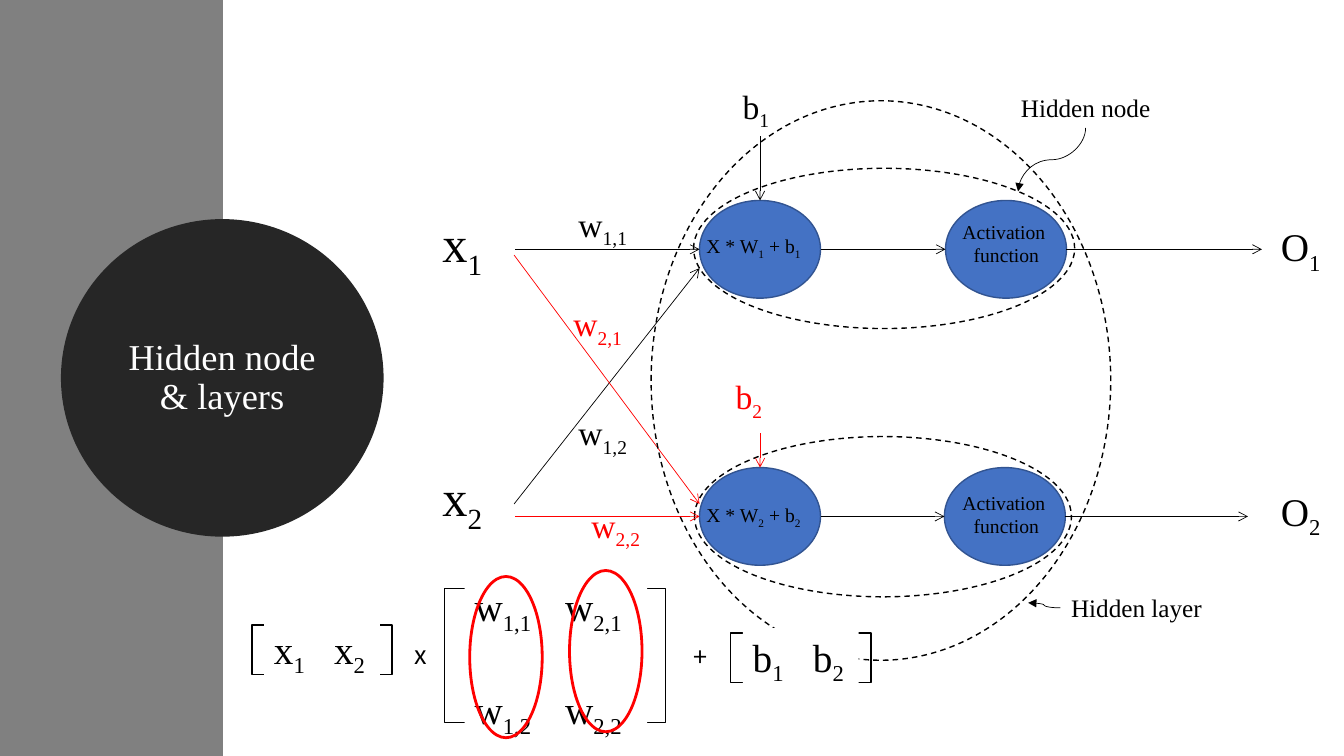
"""Build the slide that explains hidden nodes and layers of a neural network."""
from lxml import etree
from pptx import Presentation
from pptx.dml.color import RGBColor
from pptx.enum.dml import MSO_LINE
from pptx.enum.shapes import MSO_CONNECTOR, MSO_SHAPE
from pptx.enum.text import MSO_ANCHOR, PP_ALIGN
from pptx.oxml.ns import qn
from pptx.util import Pt

RECTANGLE, OVAL = MSO_SHAPE.RECTANGLE, MSO_SHAPE.OVAL
STRAIGHT, CURVE = MSO_CONNECTOR.STRAIGHT, MSO_CONNECTOR.CURVE
LEFT, CENTER = PP_ALIGN.LEFT, PP_ALIGN.CENTER
TOP, MIDDLE = MSO_ANCHOR.TOP, MSO_ANCHOR.MIDDLE
DASH = MSO_LINE.DASH
SERIF, SANS = "Times New Roman", "Noto Sans CJK KR"
COLORS = {"gray": "808080", "dark": "262626", "white": "FFFFFF", "black": "000000",
          "red": "FF0000", "blue": "4472C4", "navy": "325491"}

presentation = Presentation()
presentation.slide_width, presentation.slide_height = Pt(960), Pt(540)
slide = presentation.slides.add_slide(presentation.slide_layouts[6])


def add_block(box, text="", kind=None, fill=None, line=None, line_width=1, dash=None,
              size=24, color="black", font=SERIF, align=LEFT, anchor=TOP,
              spacing=None, gap=0, tab=None):
    """Add a shape or text box; parts of the text between bars are subscripts."""
    position = [Pt(value) for value in box]
    if kind is None:
        shape = slide.shapes.add_textbox(*position)
    else:
        shape = slide.shapes.add_shape(kind, *position)
        shape.shadow.inherit = False
        if fill:
            shape.fill.solid()
            shape.fill.fore_color.rgb = RGBColor.from_string(COLORS[fill])
        else:
            shape.fill.background()
        if line:
            shape.line.color.rgb = RGBColor.from_string(COLORS[line])
            shape.line.width = Pt(line_width)
            shape.line.dash_style = dash
        else:
            shape.line.fill.background()
    if not text:
        return shape
    frame = shape.text_frame
    frame.word_wrap = True
    frame.vertical_anchor = anchor
    for number, content in enumerate(text.split("\n")):
        paragraph = frame.add_paragraph() if number else frame.paragraphs[0]
        paragraph.alignment = align
        paragraph.line_spacing = spacing
        paragraph.space_before = Pt(gap if number else 0)
        if tab:
            tabs = etree.SubElement(paragraph._p.get_or_add_pPr(), qn("a:tabLst"))
            etree.SubElement(tabs, qn("a:tab"), pos=str(Pt(tab)), algn="l")
        for index, part in enumerate(content.split("|")):
            if part:
                run = paragraph.add_run()
                run.text = part
                run.font.size, run.font.name = Pt(size), font
                run.font.color.rgb = RGBColor.from_string(COLORS[color])
                if index % 2:
                    run._r.get_or_add_rPr().set("baseline", "-25000")
    return shape


def add_arrow(start, end, color="black", kind=STRAIGHT, head="arrow"):
    """Add a thin arrow from start to end."""
    arrow = slide.shapes.add_connector(kind, *[Pt(value) for value in (*start, *end)])
    arrow.line.color.rgb = RGBColor.from_string(COLORS[color])
    arrow.line.width = Pt(0.5)
    etree.SubElement(arrow.line._get_or_add_ln(), qn("a:tailEnd"), type=head)
    etree.SubElement(arrow._element.spPr, qn("a:effectLst"))
    return arrow


add_block((0, 0, 159.3, 540), kind=RECTANGLE, fill="gray")
add_block((50.4, 163.4, 216.7, 213.1), "Hidden node & layers", kind=OVAL, fill="dark",
          line="dark", line_width=13.75, size=26, color="white", align=CENTER,
          anchor=MIDDLE, spacing=0.9)

add_block((308.9, 148.3, 74.2, 283.7), "x|1|\nx|2|", size=36, gap=132)

NODE_WIDTH, NODE_HEIGHT, SUM_LEFT = 86.4, 69.8, 499.7
ROWS = [
    {"number": 1, "middle": 178.1, "activation": 675.4, "output": 901.4, "color": "black",
     "bias_box": (523.4, 57.6, 40, 36), "bias_top": 97.2, "ring": (495.4, 120.2, 272.2, 114.5),
     "sum_top": 163.4, "activation_top": 153.4, "output_top": 155.5},
    {"number": 2, "middle": 368.9, "activation": 674.6, "output": 891.4, "color": "red",
     "bias_box": (518.4, 265, 57.6, 49), "bias_top": 309.6, "ring": (496.1, 311.8, 269.3, 114.5),
     "sum_top": 355.7, "activation_top": 347, "output_top": 344.2},
]
for row in ROWS:
    number, middle, activation = row["number"], row["middle"], row["activation"]
    node_top = middle - NODE_HEIGHT / 2
    sum_node, activation_node = [
        add_block((left, node_top, NODE_WIDTH, NODE_HEIGHT), kind=OVAL, fill="blue", line="navy")
        for left in (SUM_LEFT, activation)]
    add_block(row["ring"], kind=OVAL, line="black", dash=DASH)
    add_arrow((367.9, middle), (SUM_LEFT, middle), row["color"])
    add_arrow((SUM_LEFT + NODE_WIDTH, middle), (activation, middle))
    add_arrow((activation + NODE_WIDTH, middle), (row["output"], middle))
    center = SUM_LEFT + NODE_WIDTH / 2
    bias_arrow = add_arrow((center, row["bias_top"]), (center, node_top), row["color"])
    bias_arrow.end_connect(sum_node, 0)
    add_block(row["bias_box"], f"b|{number}|", color=row["color"])
    add_block((497.5, row["sum_top"], 92.2, 26.6), f"X * W|{number}| + b|{number}|", size=14)
    add_block((667.4, row["activation_top"], 103, 46), "Activation \nfunction",
              size=14, align=CENTER)
    add_block((907.9, row["output_top"], 44.6, 41), f"O|{number}|", size=28)

add_arrow((367.2, 360), (SUM_LEFT, 191.5))
add_arrow((367.2, 182.2), (SUM_LEFT, 360), "red")
for left, top, index, color in [(406.1, 141.8, "1,1", "black"), (406.1, 290.9, "1,2", "black"),
                                (402.5, 213.1, "2,1", "red"), (415.4, 357.1, "2,2", "red")]:
    add_block((left, top, 87.1, 49), f"w|{index}|", color=color)

add_block((465.1, 72, 328.3, 399.6), kind=OVAL, line="black", dash=DASH)
add_block((719.3, 62.6, 112.3, 28.8), "Hidden node", size=18, align=CENTER)
node_pointer = add_arrow((728.64, 90), (774, 138.24), kind=CURVE, head="triangle")
node_pointer._element.spPr.find(qn("a:xfrm")).set("rot", "5400000")
add_block((757.4, 419.8, 108.7, 28.8), "Hidden layer", size=18, align=CENTER)
add_arrow((757.4, 434.2), (734.4, 430.6), kind=CURVE, head="triangle")

MATRICES = [
    ((317.5, 420.5, 157.7, 95.8), (331.9, 412.6, 130.3, 108.7),
     "w|1,1|\tw|2,1|\nw|1,2|\tw|2,2|", 64.6),
    ((180, 446.4, 100.1, 35.3), (188.6, 442.8, 82.8, 41), "x|1|\tx|2|", 43),
    ((522, 452.2, 100.1, 35.3), (530.6, 448.6, 82.8, 41), "b|1|\tb|2|", 43),
]
for bracket, inside, entries, tab in MATRICES:
    add_block(bracket, kind=RECTANGLE, line="black")
    add_block(inside, entries, kind=RECTANGLE, fill="white", size=28, gap=35, tab=tab)
for left, top, sign in [(288.7, 452.9, "x"), (488.2, 454.3, "+")]:
    add_block((left, top, 27.4, 28.8), sign, size=18, font=SANS)
for left, top in [(335.5, 411.8), (406.8, 407.5)]:
    add_block((left, top, 51.8, 115.2), kind=OVAL, line="red", line_width=2)

presentation.save("out.pptx")
